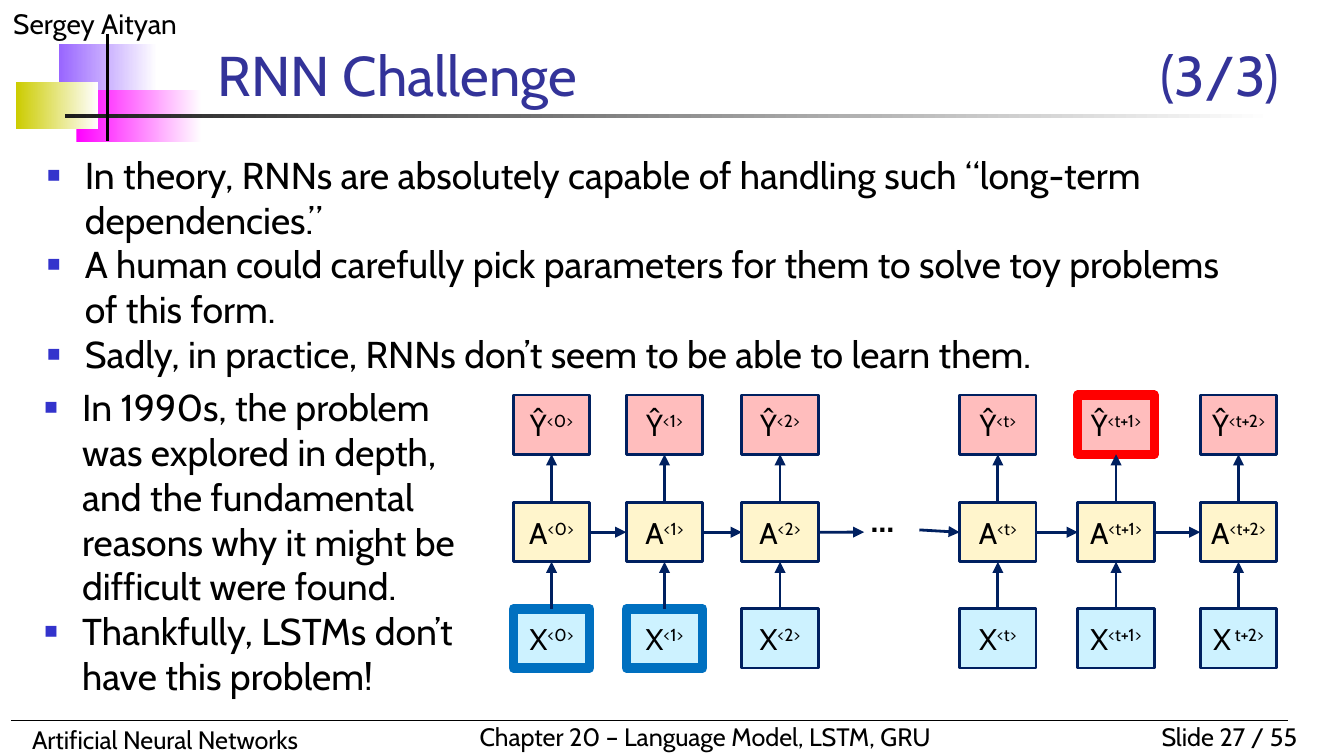
from itertools import pairwise

from lxml import etree
from pptx import Presentation
from pptx.dml.color import RGBColor
from pptx.enum import shapes, text
from pptx.oxml import ns
from pptx.util import Pt

BLACK = RGBColor(0, 0, 0)
WHITE = RGBColor(255, 255, 255)
TITLE_BLUE = RGBColor(0x33, 0x33, 0x99)
BULLET_BLUE = RGBColor(0x33, 0x33, 0xCC)
NAVY = RGBColor(0x00, 0x20, 0x60)
INPUT_BLUE = RGBColor(0x00, 0x70, 0xC0)
RED = RGBColor(255, 0, 0)
PINK = RGBColor(0xFF, 0xBD, 0xBD)
CREAM = RGBColor(0xFF, 0xF5, 0xCC)
PALE_BLUE = RGBColor(0xCD, 0xF2, 0xFF)
FONT = "Cabin"

TITLE = "RNN Challenge\t(3/3)"
TITLE_BOX = (109.4, 22.3, 589.7, 38.9)
PAGE_COUNT_TAB = Pt(505)
BODIES = [
    ((18, 77.8, 648, 95), [
        "In theory, RNNs are absolutely capable of handling such “long-term dependencies.”",
        "A human could carefully pick parameters for them to solve toy problems of this form.",
        "Sadly, in practice, RNNs don’t seem to be able to learn them.",
    ]),
    ((16.6, 202.3, 257.8, 41.8), [
        "In 1990s, the problem was explored in depth, and the fundamental reasons why "
        "it might be difficult were found.",
        "Thankfully, LSTMs don’t have this problem!",
    ]),
]
# box, start colour; each fades to white
BANDS = [
    ((31.7, 23.8, 52.6, 28.1), RGBColor(0x99, 0x66, 0xFF)),
    ((41, 48.2, 67, 28.1), RGBColor(0xFF, 0x00, 0xFF)),
    ((8.6, 43.9, 43.9, 25.2), RGBColor(0xCC, 0xCC, 0x00)),
    ((34.6, 61.2, 648, 2.2), RGBColor(0x1C, 0x1C, 0x1C)),
]
RULES = [((5.8, 385.9, 689.8, 385.9), 0.75), ((57.6, 18, 57.6, 75.6), 2)]
# text, box, size, alignment, wrap, bold
LEFT, RIGHT = text.PP_ALIGN.LEFT, text.PP_ALIGN.RIGHT
LABELS = [
    ("Sergey Aityan", (0, 0, 180, 25.2), 15, LEFT, True, False),
    ("Slide 27 / 55", (594, 383, 108, 23.8), 13.5, RIGHT, True, False),
    ("Artificial Neural Networks", (10.1, 384.5, 266.4, 23.8), 13.5, LEFT, True, False),
    ("Chapter 20 – Language Model, LSTM, GRU", (249.8, 383, 272.2, 23.8),
     13.5, LEFT, False, False),
    ("…", (459.4, 263.5, 40.3, 29.5), 18, LEFT, True, True),
]

STEPS = {"<0>": 275, "<1>": 335.5, "<2>": 397.4,
         "<t>": 514.1, "<t+1>": 577.4, "<t+2>": 643}
LAYERS = [("Ŷ", 211.7, PINK), ("A", 269.3, CREAM), ("X", 326.2, PALE_BLUE)]
CELL_W, CELL_H = 41, 31.7
HIGHLIGHTS = {("X", "<0>"): INPUT_BLUE, ("X", "<1>"): INPUT_BLUE, ("Ŷ", "<t+1>"): RED}
LABEL_EXCEPTIONS = {("X", "<t+2>"): " t+2>"}
GAP_ARROW_END, GAP_ARROW_START, GAP_Y = 463, 492.5, 283.9
TOP, SIDE_LEFT, BOTTOM, SIDE_RIGHT = range(4)


def set_all(target, values):
    for name, value in values.items():
        setattr(target, name, value)


def points(values):
    return [Pt(value) for value in values]


def place(shape, box):
    set_all(shape, dict(zip(("left", "top", "width", "height"), points(box))))


def add_run(paragraph, content, size, color=BLACK, bold=False):
    run = paragraph.add_run()
    run.text = content
    set_all(run.font, {"name": FONT, "size": Pt(size), "bold": bold})
    run.font.color.rgb = color
    return run


def add_xml(parent, tag, **attributes):
    return etree.SubElement(parent, ns.qn(tag), attributes)


def add_bullet(paragraph):
    properties = paragraph._p.get_or_add_pPr()
    properties.set("marL", str(Pt(20.2)))
    properties.set("indent", str(-Pt(20.2)))
    add_xml(add_xml(properties, "a:buClr"), "a:srgbClr", val=str(BULLET_BLUE))
    add_xml(properties, "a:buSzPct", val="60000")
    add_xml(properties, "a:buChar", char="■")


def add_line(slide, ends, color, width, arrow=False):
    line = slide.shapes.add_connector(shapes.MSO_CONNECTOR.STRAIGHT, *points(ends))
    line.line.color.rgb = color
    line.line.width = Pt(width)
    if arrow:
        add_xml(line.line._get_or_add_ln(), "a:tailEnd", type="triangle")
    add_xml(line._element.spPr, "a:effectLst")
    return line


def add_rectangle(slide, box):
    rectangle = slide.shapes.add_shape(shapes.MSO_SHAPE.RECTANGLE, *points(box))
    rectangle.shadow.inherit = False
    return rectangle


def add_cell(slide, layer, step, left, top, fill):
    cell = add_rectangle(slide, (left, top, CELL_W, CELL_H))
    border = HIGHLIGHTS.get((layer, step))
    cell.fill.solid()
    cell.fill.fore_color.rgb = fill
    cell.line.color.rgb = border or NAVY
    cell.line.width = Pt(5 if border else 1.5)
    frame = cell.text_frame
    set_all(frame, {"word_wrap": False, "vertical_anchor": text.MSO_ANCHOR.MIDDLE,
                    "margin_left": 0, "margin_right": 0,
                    "margin_top": 0, "margin_bottom": 0})
    paragraph = frame.paragraphs[0]
    paragraph.alignment = text.PP_ALIGN.CENTER
    add_run(paragraph, layer, 16)
    index = add_run(paragraph, LABEL_EXCEPTIONS.get((layer, step), step), 16)
    index._r.get_or_add_rPr().set("baseline", "30000")
    return cell


def join(slide, source, source_side, target, target_side):
    arrow = add_line(slide, (0, 0, 0, 0), NAVY, 1.5, arrow=True)
    arrow.begin_connect(source, source_side)
    arrow.end_connect(target, target_side)


def add_network(slide):
    cells = {(layer, step): add_cell(slide, layer, step, left, top, fill)
             for step, left in STEPS.items() for layer, top, fill in LAYERS}
    for step in STEPS:
        for upper, lower in (("Ŷ", "A"), ("A", "X")):
            join(slide, cells[lower, step], BOTTOM - 2, cells[upper, step], BOTTOM)
    for step, following in pairwise(STEPS):
        source, target = cells["A", step], cells["A", following]
        if following != "<t>":
            join(slide, source, SIDE_RIGHT, target, SIDE_LEFT)
            continue
        into_gap = add_line(slide, (0, 0, GAP_ARROW_END, GAP_Y + 1.2), NAVY, 1.5, arrow=True)
        into_gap.begin_connect(source, SIDE_RIGHT)
        out_of_gap = add_line(slide, (GAP_ARROW_START, GAP_Y, 0, 0), NAVY, 1.5, arrow=True)
        out_of_gap.end_connect(target, SIDE_LEFT)


def fill_placeholders(slide):
    title, *bodies = slide.placeholders
    place(title, TITLE_BOX)
    set_all(title.text_frame, {"vertical_anchor": text.MSO_ANCHOR.BOTTOM,
                               "auto_size": text.MSO_AUTO_SIZE.NONE})
    heading = title.text_frame.paragraphs[0]
    heading.alignment = LEFT
    tabs = add_xml(heading._p.get_or_add_pPr(), "a:tabLst")
    add_xml(tabs, "a:tab", pos=str(PAGE_COUNT_TAB), algn="l")
    add_run(heading, TITLE, 30, TITLE_BLUE)
    for body, (box, items) in zip(bodies, BODIES):
        place(body, box)
        frame = body.text_frame
        frame.auto_size = text.MSO_AUTO_SIZE.NONE
        for number, item in enumerate(items):
            paragraph = frame.add_paragraph() if number else frame.paragraphs[0]
            paragraph.space_before = Pt(0)
            add_bullet(paragraph)
            add_run(paragraph, item, 20)


def main():
    deck = Presentation()
    set_all(deck, {"slide_width": Pt(720), "slide_height": Pt(405)})
    slide = deck.slides.add_slide(deck.slide_layouts.get_by_name("Two Content"))
    for box, color in BANDS:
        band = add_rectangle(slide, box)
        band.line.fill.background()
        band.fill.gradient()
        band.fill.gradient_angle = 0
        for stop, shade in zip(band.fill.gradient_stops, (color, WHITE)):
            stop.color.rgb = shade
    for ends, width in RULES:
        add_line(slide, ends, BLACK, width)
    fill_placeholders(slide)
    add_network(slide)
    for content, box, size, alignment, wrap, bold in LABELS:
        frame = slide.shapes.add_textbox(*points(box)).text_frame
        frame.word_wrap = wrap
        frame.paragraphs[0].alignment = alignment
        add_run(frame.paragraphs[0], content, size, bold=bold)
    deck.save("out.pptx")


if __name__ == "__main__":
    main()
